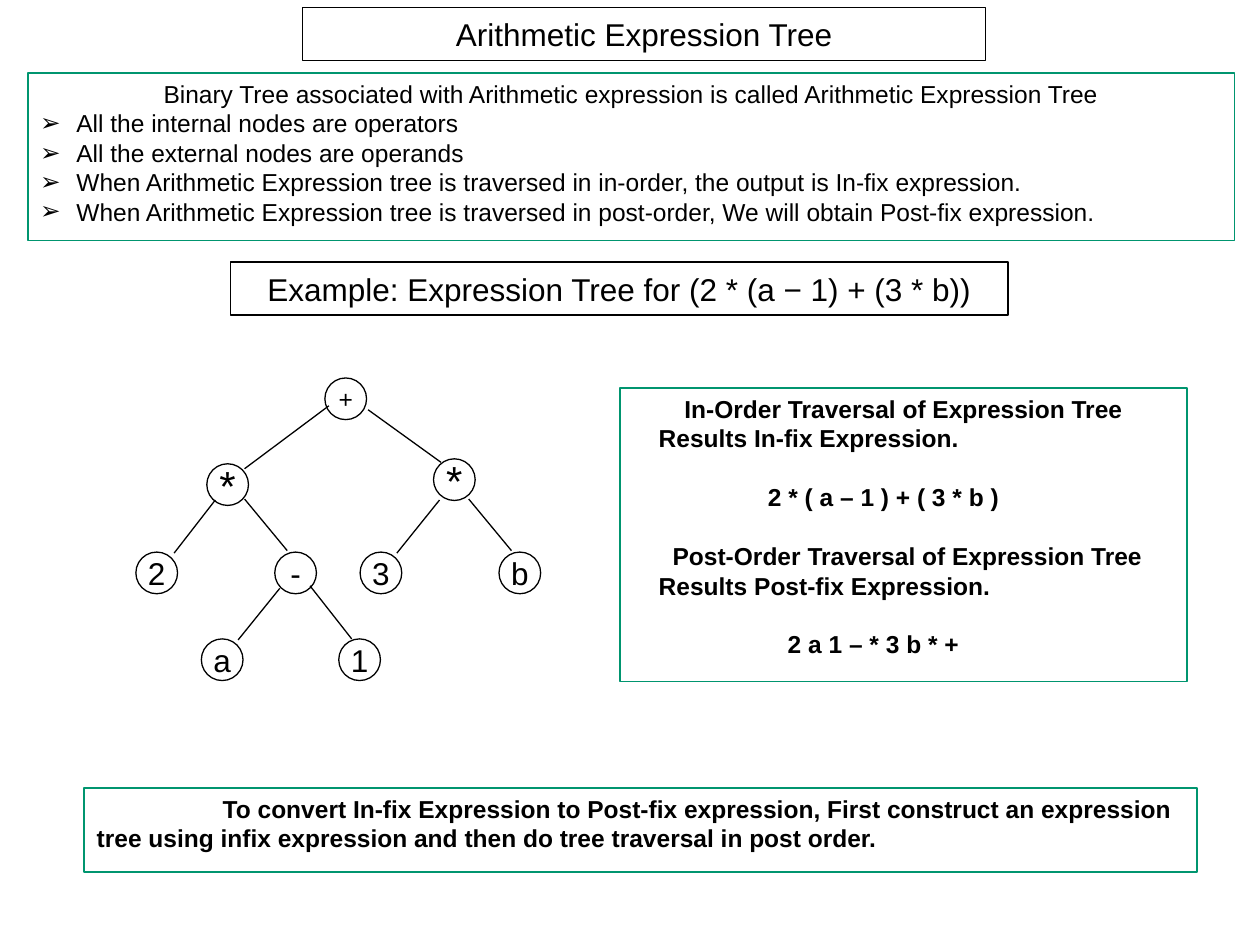
from lxml import etree
from pptx import Presentation
from pptx import util as u
from pptx.dml.color import RGBColor
from pptx.enum import shapes, text
from pptx.oxml.ns import qn

BLACK, GREEN = "000000", "00956F"
LEFT, CENTER, JUSTIFY = text.PP_ALIGN.LEFT, text.PP_ALIGN.CENTER, text.PP_ALIGN.JUSTIFY


def color(value):
    return RGBColor.from_string(value)


def add_text_shape(kind, bounds, line_color, line_width, lines, size, bold=False):
    shape = slide.shapes.add_shape(kind, *[u.Cm(value) for value in bounds])
    shape.shadow.inherit = False
    shape.fill.background()
    shape.line.color.rgb = color(line_color)
    shape.line.width = u.Pt(line_width)
    frame = shape.text_frame
    frame.word_wrap = kind == shapes.MSO_SHAPE.RECTANGLE
    single = len(lines) == 1 and lines[0][1] == CENTER
    frame.vertical_anchor = text.MSO_ANCHOR.MIDDLE if single else text.MSO_ANCHOR.TOP
    for index, (content, alignment, margin, indent, gap) in enumerate(lines):
        paragraph = frame.paragraphs[0] if index == 0 else frame.add_paragraph()
        paragraph.text = content
        paragraph.alignment = alignment
        if not single:
            paragraph.line_spacing = u.Pt(16.8)
        if gap:
            paragraph.space_before = u.Pt(gap)
        properties = paragraph._p.get_or_add_pPr()
        properties.set("marL", str(u.Cm(margin)))
        properties.set("indent", str(u.Cm(indent)))
        if alignment == JUSTIFY:
            etree.SubElement(properties, qn("a:buFont")).set("typeface", "Arial")
            etree.SubElement(properties, qn("a:buChar")).set("char", "➢")
        paragraph.font.name = "Arial"
        paragraph.font.size = u.Pt(size)
        paragraph.font.bold = bold
        paragraph.font.color.rgb = color(BLACK)


presentation = Presentation()
presentation.slide_width, presentation.slide_height = u.Cm(25.4), u.Cm(19.05)
slide = presentation.slides.add_slide(presentation.slide_layouts[6])
rectangle = shapes.MSO_SHAPE.RECTANGLE

headings = [
    ((6.1, 0.15, 13.77, 1.07), "Arithmetic Expression Tree"),
    ((4.65, 5.28, 15.67, 1.07), "Example: Expression Tree for (2 * (a − 1) + (3 * b))"),
]
for bounds, heading in headings:
    add_text_shape(rectangle, bounds, BLACK, 0.75, [(heading, CENTER, 0, 0, 0)], 18)

definition = "Binary Tree associated with Arithmetic expression is called Arithmetic Expression Tree"
properties_of_tree = [
    "All the internal nodes are operators",
    "All the external nodes are operands",
    "When Arithmetic Expression tree is traversed in in-order, the output is In-fix expression.",
    "When Arithmetic Expression tree is traversed in post-order, We will obtain Post-fix expression.",
]
definition_lines = [(definition, CENTER, 0, 0, 0)]
definition_lines += [(item, JUSTIFY, 0.73, -0.73, 0) for item in properties_of_tree]
add_text_shape(rectangle, (0.56, 1.47, 24.33, 3.38), GREEN, 1, definition_lines, 14)

nodes = [
    ("+", 6.55, 7.62, 14),
    ("*", 4.17, 9.35, 24),
    ("*", 8.74, 9.25, 24),
    ("2", 2.74, 11.13, 18),
    ("-", 5.54, 11.13, 18),
    ("3", 7.26, 11.13, 18),
    ("b", 10.06, 11.13, 18),
    ("a", 4.06, 12.88, 18),
    ("1", 6.83, 12.88, 18),
]
for label, left, top, size in nodes:
    add_text_shape(shapes.MSO_SHAPE.OVAL, (left, top, 0.84, 0.84), BLACK, 0.75,
                   [(label, CENTER, 0, 0, 0)], size)

edges = [
    (6.63, 8.18, 4.93, 9.45),
    (7.42, 8.26, 8.89, 9.32),
    (4.34, 10.08, 3.51, 11.15),
    (4.93, 10.06, 5.79, 11.1),
    (8.86, 10.08, 8, 11.15),
    (9.45, 10.06, 10.31, 11.1),
    (5.64, 11.86, 4.8, 12.9),
    (6.25, 11.81, 7.09, 12.88),
]
for edge in edges:
    connector = slide.shapes.add_connector(shapes.MSO_CONNECTOR.STRAIGHT, *[u.Cm(value) for value in edge])
    connector.line.color.rgb = color(BLACK)
    connector.line.width = u.Pt(0.75)
    etree.SubElement(connector._element.spPr, qn("a:effectLst"))

traversal_lines = [
    ("In-Order Traversal of Expression Tree", CENTER, 0, 0, 0),
    ("Results In-fix Expression.", LEFT, 0.53, 0, 0),
    ("2 * ( a – 1 ) + ( 3 * b )", LEFT, 2.73, 0, 16.8),
    ("Post-Order Traversal of Expression Tree", LEFT, 0.81, 0, 16.8),
    ("Results Post-fix Expression.", LEFT, 0.53, 0, 0),
    ("2 a 1 – * 3 b * +", LEFT, 3.13, 0, 16.8),
]
add_text_shape(rectangle, (12.5, 7.82, 11.43, 5.92), GREEN, 1, traversal_lines, 14, True)

conversion = (
    "To convert In-fix Expression to Post-fix expression, First construct an expression "
    "tree using infix expression and then do tree traversal in post order."
)
add_text_shape(rectangle, (1.7, 15.88, 22.43, 1.7), GREEN, 1, [(conversion, LEFT, 0, 2.54, 0)], 14, True)

presentation.save("out.pptx")
